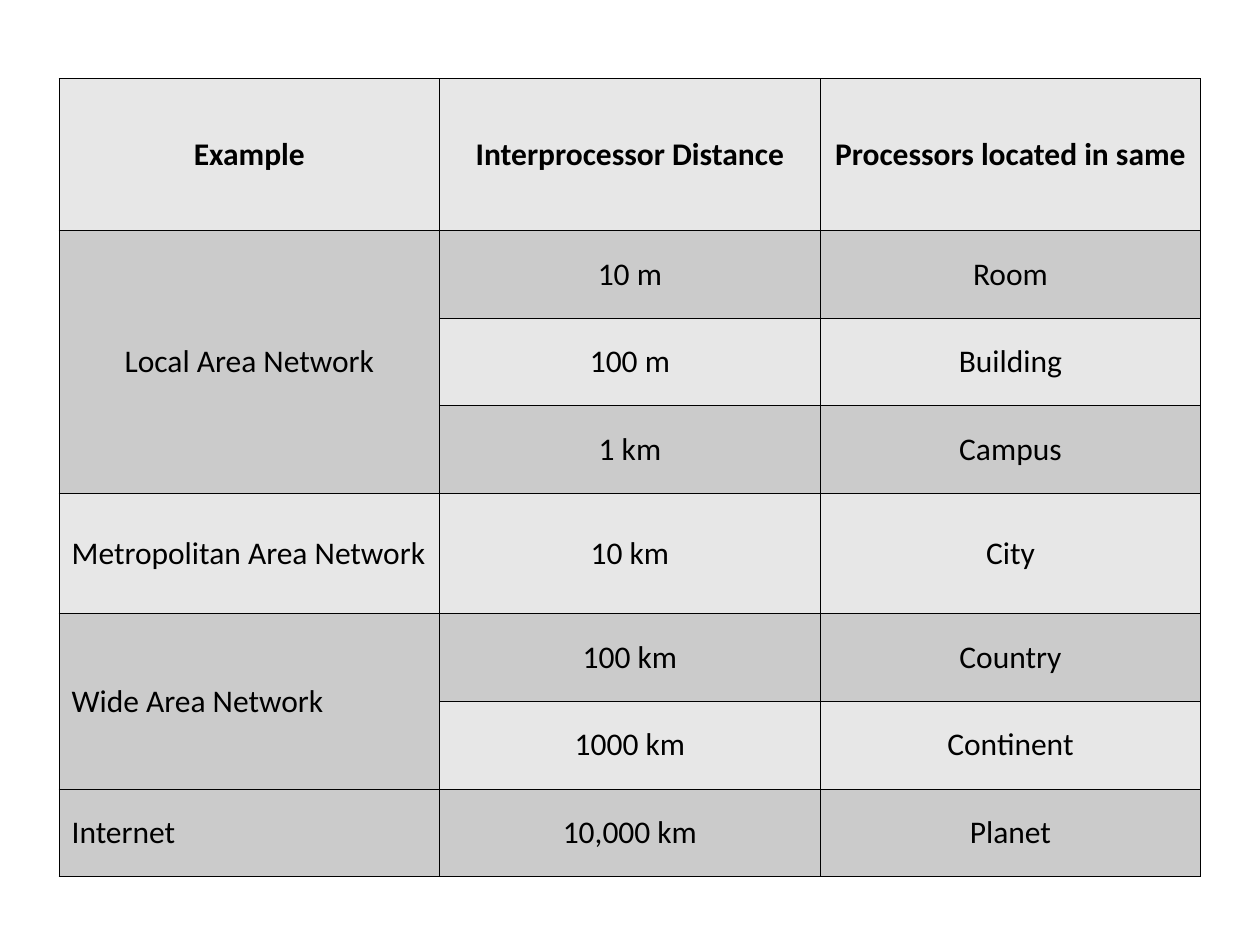
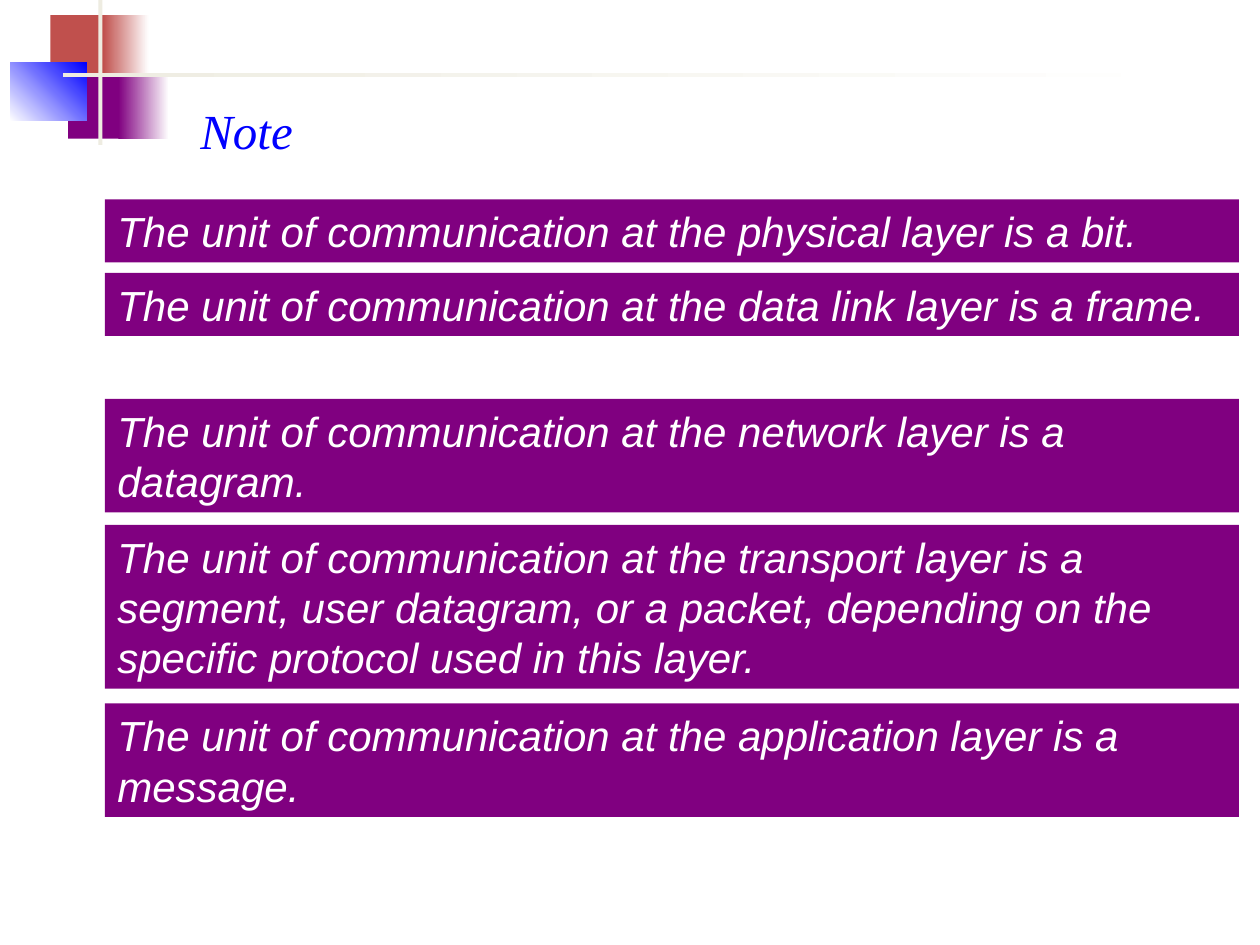
from lxml.etree import SubElement
from pptx import Presentation
from pptx.dml.color import RGBColor
from pptx.enum.shapes import MSO_SHAPE
from pptx.enum.text import MSO_ANCHOR, MSO_AUTO_SIZE, PP_ALIGN
from pptx.oxml.ns import qn
from pptx.util import Inches, Pt

COLORS = {
    "black": "000000",
    "white": "FFFFFF",
    "light": "E7E7E7",
    "dark": "CBCBCB",
    "red": "C0504D",
    "purple": "800080",
    "blue": "0000FF",
    "cream": "EEECE1",
}
GRID_COLUMNS, GRID_ROWS = 120, 90
TITLE_ONLY, BLANK = 5, 6


def rgb(name):
    return RGBColor.from_string(COLORS[name])


class Deck:
    def __init__(self):
        self.presentation = Presentation()
        self.presentation.slide_width = Inches(10)
        self.presentation.slide_height = Inches(7.5)
        self.slide = None

    def add_slide(self, layout):
        layouts = self.presentation.slide_layouts
        self.slide = self.presentation.slides.add_slide(layouts[layout])

    def columns(self, count):
        return round(self.presentation.slide_width * count / GRID_COLUMNS)

    def rows(self, count):
        return round(self.presentation.slide_height * count / GRID_ROWS)

    def area(self, left, top, width, height):
        return self.columns(left), self.rows(top), self.columns(width), self.rows(height)

    def style(self, paragraph, font_name, size, color, align=PP_ALIGN.LEFT, bold=False, italic=False):
        paragraph.alignment = align
        font = paragraph.font
        font.name, font.size = font_name, Pt(size)
        font.bold, font.italic = bold, italic
        font.color.rgb = rgb(color)

    def block(self, place, color, fade_to=None, angle=0):
        block = self.slide.shapes.add_shape(MSO_SHAPE.RECTANGLE, *self.area(*place))
        block.shadow.inherit = False
        block.line.fill.background()
        if fade_to:
            block.fill.gradient()
            block.fill.gradient_angle = angle
            for stop, shade in zip(block.fill.gradient_stops, (color, fade_to)):
                stop.color.rgb = rgb(shade)
        else:
            block.fill.solid()
            block.fill.fore_color.rgb = rgb(color)
        return block

    def title(self, place, text):
        title = self.slide.shapes.title
        title.left, title.top, title.width, title.height = self.area(*place)
        frame = title.text_frame
        frame.text = text
        frame.word_wrap = True
        frame.auto_size = MSO_AUTO_SIZE.NONE
        frame.vertical_anchor = MSO_ANCHOR.TOP
        self.style(frame.paragraphs[0], "Times New Roman", 28, "blue", italic=True)

    def statement(self, top, line_count, text):
        height = 1.2 + 4.8 * line_count
        frame = self.block((10, top, 108, height), "purple").text_frame
        frame.text = text
        frame.word_wrap = True
        frame.auto_size = MSO_AUTO_SIZE.SHAPE_TO_FIT_TEXT
        frame.vertical_anchor = MSO_ANCHOR.TOP
        self.style(frame.paragraphs[0], "Arial", 24, "white", italic=True)

    def corner_ornament(self):
        self.block((4.8, 1.44, 5.76, 6.24), "red")
        self.block((9.84, 1.44, 4.32, 6.24), "red", "white")
        self.block((6.48, 6.96, 5.52, 6.24), "purple")
        self.block((11.28, 6.96, 4.8, 6.24), "purple", "white")
        self.block((0.96, 6, 7.32, 5.52), "white", "blue", angle=45)
        self.block((9.36, 0, 0.4, 13.8), "cream")
        self.block((6, 6.96, 108, 0.4), "cream", "white")

    def border(self, cell):
        properties = cell._tc.get_or_add_tcPr()
        for side in ("a:lnL", "a:lnR", "a:lnT", "a:lnB"):
            line = SubElement(properties, qn(side), w=str(Pt(0.45)))
            SubElement(SubElement(line, qn("a:solidFill")), qn("a:srgbClr"), val=COLORS["black"])

    def table(self, left, top, column_width, row_heights, entries, merges, left_aligned):
        width = column_width * len(entries[0])
        place = self.area(left, top, width, sum(row_heights))
        table = self.slide.shapes.add_table(len(entries), len(entries[0]), *place).table
        table.first_row = table.horz_banding = False
        for column in table.columns:
            column.width = self.columns(column_width)
        for row_index, (height, texts) in enumerate(zip(row_heights, entries)):
            table.rows[row_index].height = self.rows(height)
            for column_index, text in enumerate(texts):
                cell = table.cell(row_index, column_index)
                self.border(cell)
                cell.fill.solid()
                cell.fill.fore_color.rgb = rgb("dark" if row_index % 2 else "light")
                cell.vertical_anchor = MSO_ANCHOR.MIDDLE
                cell.text = text
                align = PP_ALIGN.LEFT if text in left_aligned else PP_ALIGN.CENTER
                self.style(cell.text_frame.paragraphs[0], "Calibri", 18, "black", align,
                           bold=row_index == 0)
        for first, last in merges:
            table.cell(first, 0).merge(table.cell(last, 0))


def network_scales(deck):
    deck.add_slide(BLANK)
    scales = [
        ("Example", "Interprocessor Distance", "Processors located in same"),
        ("Local Area Network", "10 m", "Room"),
        ("", "100 m", "Building"),
        ("", "1 km", "Campus"),
        ("Metropolitan Area Network", "10 km", "City"),
        ("Wide Area Network", "100 km", "Country"),
        ("", "1000 km", "Continent"),
        ("Internet", "10,000 km", "Planet"),
    ]
    row_heights = [14.45] + [8.35] * 3 + [11.45] + [8.35] * 3
    deck.table(5.62, 7.5, 36.25, row_heights, scales, merges=[(1, 3), (5, 6)],
               left_aligned=("Metropolitan Area Network", "Wide Area Network", "Internet"))


def layer_units(deck):
    deck.add_slide(TITLE_ONLY)
    deck.corner_ornament()
    deck.title((17.88, 9, 13, 6.84), "Note")
    units = [
        (19, 1, "physical layer is a bit."),
        (26, 1, "data link layer is a frame."),
        (38, 2, "network layer is a datagram."),
        (50, 3, "transport layer is a segment, user datagram, or a packet, "
                "depending on the specific protocol used in this layer."),
        (67, 2, "application layer is a message."),
    ]
    for top, line_count, ending in units:
        deck.statement(top, line_count, f"The unit of communication at the {ending}")


def main():
    deck = Deck()
    network_scales(deck)
    layer_units(deck)
    deck.presentation.save("out.pptx")


if __name__ == "__main__":
    main()
